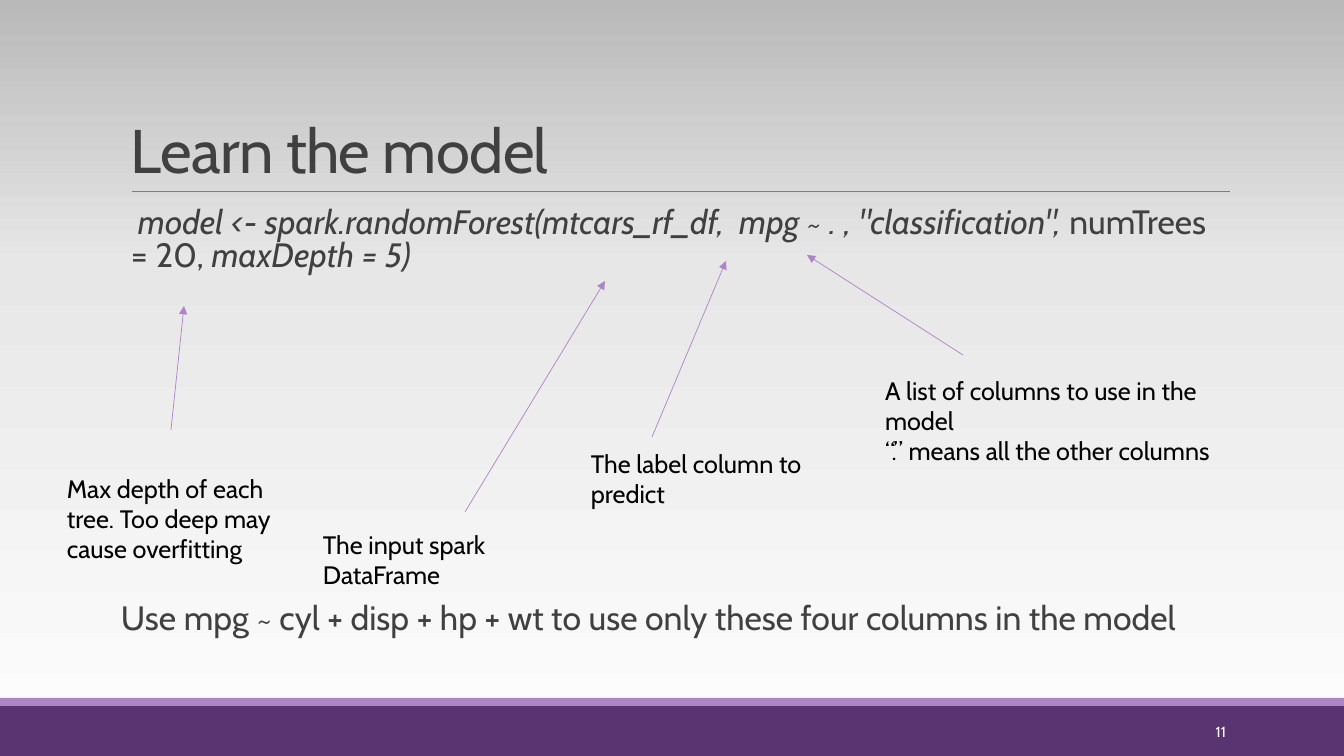
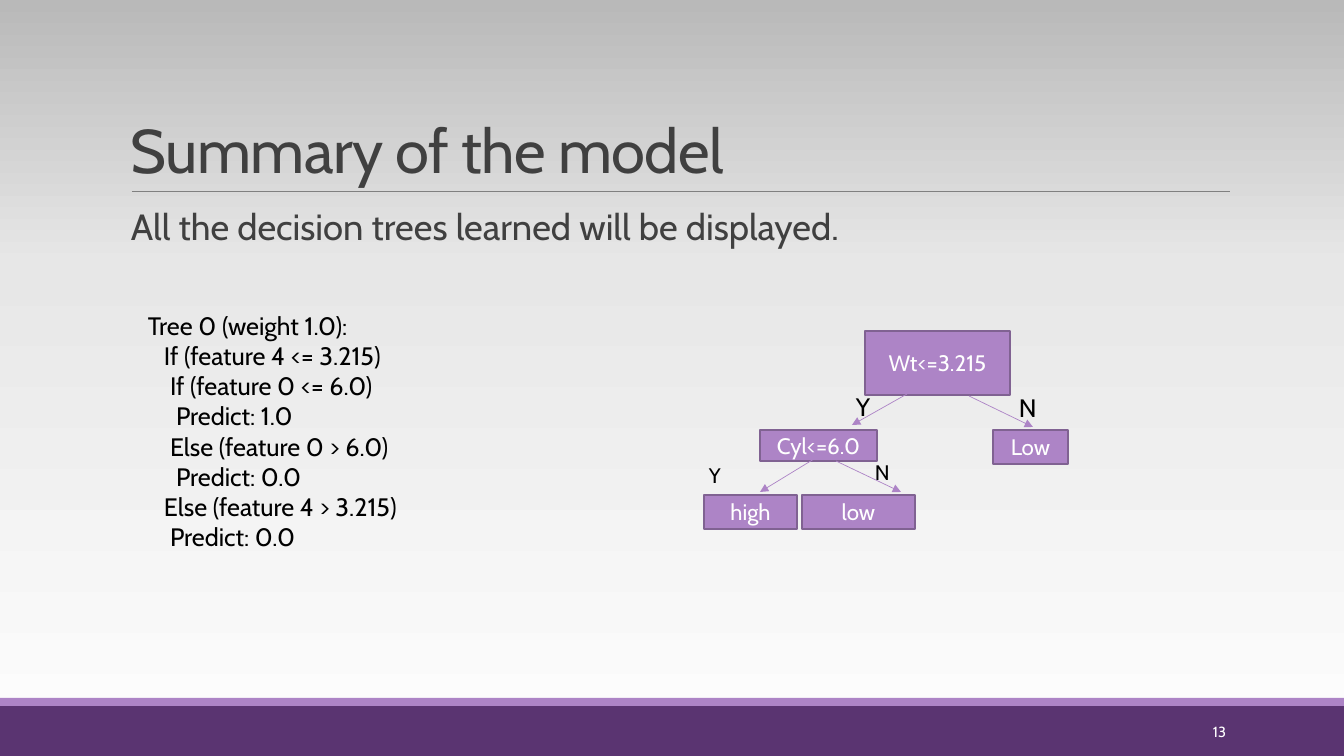
from copy import deepcopy

from pptx import Presentation
from pptx.dml.color import RGBColor
from pptx.enum.shapes import MSO_CONNECTOR as LINE, MSO_SHAPE as SHAPE
from pptx.enum.text import MSO_ANCHOR as ANCHOR, PP_ALIGN as ALIGN
from pptx.oxml.ns import qn
from pptx.util import Emu, Pt
from lxml.etree import SubElement

PX = 914400 / 100.8
FONT = "Cabin"
PURPLE, LILAC, EDGE = "5A3471", "AD84C6", "806292"
INK, BLACK, WHITE, RULE = "404040", "000000", "FFFFFF", "808080"
BACKDROP = [(0, "FEFEFE"), (0.65, "E7E7E7"), (1, "B9B9B9")]


def px(*lengths):
    return [Emu(round(v * PX)) for v in lengths]


def rgb(color):
    return RGBColor.from_string(color)


# Basic parts
def write(shape, paras, size=18, color=BLACK, align=ALIGN.LEFT, anchor=ANCHOR.TOP,
          spacing=None, margin=10, left=0, first=0, indents=None, track=None):
    """Each paragraph is a string or a list of (text, italic) runs."""
    tf = shape.text_frame
    tf.word_wrap = True
    tf.vertical_anchor = anchor
    tf.margin_left, tf.margin_right, tf.margin_top, tf.margin_bottom = px(margin, margin, 5, 5)
    for i, para in enumerate(paras):
        p = tf.add_paragraph() if i else tf.paragraphs[0]
        p.alignment = align
        if spacing:
            p.line_spacing = spacing
        p_pr = p._p.get_or_add_pPr()
        p_pr.set("marL", str(px(indents[i] if indents else left)[0]))
        p_pr.set("indent", str(px(first)[0]))
        for text, italic in [(para, False)] if isinstance(para, str) else para:
            r = p.add_run()
            r.text = text
            r.font.name, r.font.size, r.font.italic = FONT, Pt(size), italic
            r.font.color.rgb = rgb(color)
            if track:
                r._r.get_or_add_rPr().set("spc", str(track))


def text_box(s, box, paras, **fmt):
    write(s.shapes.add_textbox(*px(*box)), paras, **fmt)


def rect(s, box, fill, edge=None):
    sp = s.shapes.add_shape(SHAPE.RECTANGLE, *px(*box))
    sp.shadow.inherit = False
    sp.fill.solid()
    sp.fill.fore_color.rgb = rgb(fill)
    if edge:
        sp.line.color.rgb = rgb(edge)
        sp.line.width = Pt(1)
    else:
        sp.line.fill.background()
    return sp


def line(s, ends, color=LILAC, arrow=True):
    cxn = s.shapes.add_connector(LINE.STRAIGHT, *px(*ends))
    cxn.line.color.rgb = rgb(color)
    cxn.line.width = Pt(0.5)
    if arrow:
        SubElement(cxn.line._get_or_add_ln(), qn("a:tailEnd"), type="triangle")
    SubElement(cxn._element.spPr, qn("a:effectLst"))


# Shared frame: backdrop, bands, title with rule, page number
def backdrop(s):
    fill = s.background.fill
    fill.gradient()
    fill.gradient_angle = 90
    stops = s._element.find(".//" + qn("a:gsLst"))
    stops.insert(1, deepcopy(stops[0]))
    for stop, (position, color) in zip(fill.gradient_stops, BACKDROP):
        stop.position = position
        stop.color.rgb = rgb(color)


def new_slide(prs, title, number):
    s = prs.slides.add_slide(prs.slide_layouts[6])
    backdrop(s)
    rect(s, (0, 706, 1344, 50), PURPLE)
    rect(s, (0, 698, 1344, 8), LILAC)
    line(s, (132, 191, 1230, 191), RULE, arrow=False)
    text_box(s, (121, 31, 1109, 160), [title], size=44, color=INK,
             anchor=ANCHOR.BOTTOM, spacing=0.85, track=-50)
    text_box(s, (1092, 712, 144, 40), [number], size=10.5, color=WHITE,
             align=ALIGN.RIGHT, anchor=ANCHOR.MIDDLE)
    return s


def body(s, box, para, **fmt):
    text_box(s, box, [para], color=INK, margin=0, **fmt)


# Function call with an arrow from each note to its argument
def call_slide(prs):
    s = new_slide(prs, "Learn the model", "11")
    call = [('model <- spark.randomForest(mtcars_rf_df,  mpg ~ . , "classification", ', True),
            ("numTrees = 20, ", False), ("maxDepth = 5)", True)]
    body(s, (121, 204, 1109, 80), call, size=24.1, spacing=0.8, left=10, first=7)
    body(s, (121, 600, 1109, 44),
         "Use mpg ~ cyl + disp + hp + wt to use only these four columns in the model",
         size=24.1, spacing=0.8)
    notes = [
        ((313, 524, 300, 71), (465, 512, 605, 281), ["The input spark DataFrame"]),
        ((581, 443, 300, 71), (652, 437, 726, 261), ["The label column to predict"]),
        ((875, 370, 396, 102), (963, 355, 807, 255),
         ["A list of columns to use in the model",
          "\u201c.\u201d means all the other columns"]),
        ((57, 468, 239, 102), (171, 430, 184, 306),
         ["Max depth of each tree. Too deep may cause overfitting"]),
    ]
    for box, ends, paras in notes:
        line(s, ends)
        text_box(s, box, paras)


# Printed rules of the tree
def tree_listing(s, box):
    rules = [(6, "Tree 0 (weight 1.0):"),
             (22, "If (feature 4 <= 3.215)"),
             (28, "If (feature 0 <= 6.0)"),
             (34, "Predict: 1.0"),
             (28, "Else (feature 0 > 6.0)"),
             (34, "Predict: 0.0"),
             (22, "Else (feature 4 > 3.215)"),
             (28, "Predict: 0.0")]
    indents, paras = zip(*rules)
    text_box(s, box, paras, indents=indents)


# Decision tree, laid out from its top left corner
def tree_diagram(s, x, y):
    nodes = [("Wt<=3.215", 161, 0, 145, 64), ("Cyl<=6.0", 56, 99, 117, 31),
             ("Low", 289, 99, 75, 34), ("high", 0, 164, 93, 34), ("low", 98, 164, 113, 34)]
    branches = [(203, 63, 148, 94), (265, 65, 329, 96),
                (110, 128, 56, 161), (132, 130, 197, 161)]
    answers = [("Y", 142, 55, 18), ("N", 305, 56, 18), ("Y", -5, 127, 15), ("N", 161, 124, 15)]
    for name, dx, dy, w, h in nodes:
        write(rect(s, (x + dx, y + dy, w, h), LILAC, EDGE), [name], size=16, color=WHITE,
              align=ALIGN.CENTER, anchor=ANCHOR.MIDDLE)
    for x1, y1, x2, y2 in branches:
        line(s, (x + x1, y + y1, x + x2, y + y2))
    for answer, dx, dy, size in answers:
        text_box(s, (x + dx, y + dy, 40, 40), [answer], size=size)


def summary_slide(prs):
    s = new_slide(prs, "Summary of the model", "13")
    body(s, (121, 204, 1109, 60), "All the decision trees learned will be displayed.",
         size=26, spacing=0.9, left=10)
    tree_listing(s, (132, 305, 672, 254))
    tree_diagram(s, 704, 331)


prs = Presentation()
prs.slide_width, prs.slide_height = px(1344, 756)
call_slide(prs)
summary_slide(prs)
prs.save("out.pptx")
